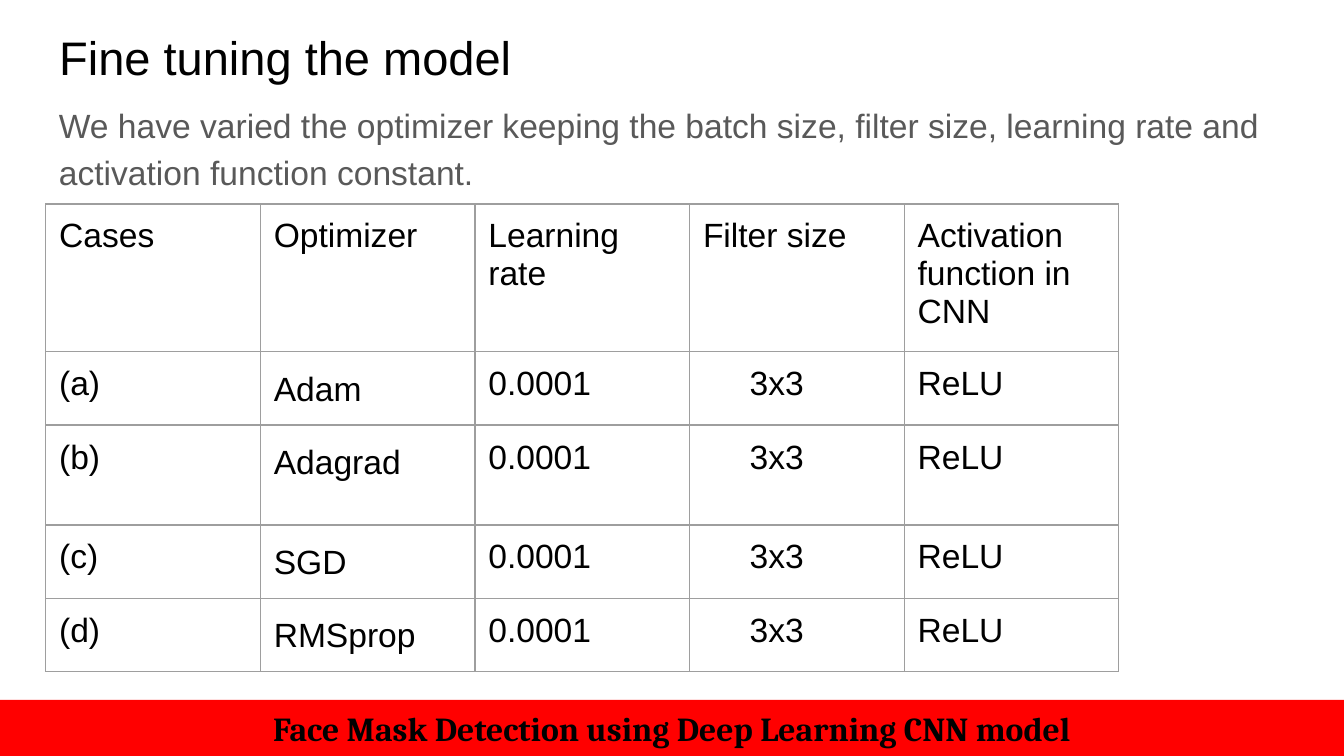
"""Build the slide on fine tuning the model, with its table of optimizer cases."""
from lxml import etree
from pptx import Presentation
from pptx.dml.color import RGBColor
from pptx.enum import shapes, text
from pptx.oxml import ns
from pptx.util import Pt

TITLE = "Fine tuning the model"
INTRO = ("We have varied the optimizer keeping the batch size, filter size, "
         "learning rate and activation function constant.")
FOOTER = "Face Mask Detection using Deep Learning CNN model"
HEADS = ["Cases", "Optimizer", "Learning rate", "Filter size", "Activation function in CNN"]
CASES = [("(a)", "Adam"), ("(b)", "Adagrad"), ("(c)", "SGD"), ("(d)", "RMSprop")]
FIXED = ["0.0001", "3x3", "ReLU"]
ROWS = [HEADS] + [[*case, *FIXED] for case in CASES]
HEIGHTS = [70, 32, 53.5, 32, 36]

BLACK = RGBColor(0x00, 0x00, 0x00)
GRAY = RGBColor(0x59, 0x59, 0x59)
LINE = RGBColor(0x9E, 0x9E, 0x9E)
RED = RGBColor(0xFF, 0x00, 0x00)
WIDE, HIGH = 720, 405
LEFT, SPAN, COL, PAD = 24.5, 671, 115, 7.2
INDENT = 25


def pad(box, side=PAD, edge=PAD):
    box.margin_left = box.margin_right = Pt(side)
    box.margin_top = box.margin_bottom = Pt(edge)


def write(frame, words, size=18, color=BLACK, name="Arial", bold=False,
          align=text.PP_ALIGN.LEFT):
    frame.text = words
    frame.word_wrap = True
    para = frame.paragraphs[0]
    para.alignment = align
    font = para.runs[0].font
    font.size, font.name, font.bold = Pt(size), name, bold
    font.color.rgb = color
    return para


def place(shape, left, top, width, height):
    shape.left, shape.top = Pt(left), Pt(top)
    shape.width, shape.height = Pt(width), Pt(height)


def border(cell):
    props = cell._tc.get_or_add_tcPr()
    for spot, side in enumerate(("lnL", "lnR", "lnT", "lnB")):
        line = etree.Element(ns.qn("a:" + side), w=str(Pt(0.75)))
        fill = etree.SubElement(line, ns.qn("a:solidFill"))
        etree.SubElement(fill, ns.qn("a:srgbClr"), val=str(LINE))
        props.insert(spot, line)


def add_title(slide):
    title = slide.shapes.title
    place(title, LEFT, 7.2, SPAN, 45.5)
    frame = title.text_frame
    pad(frame)
    frame.vertical_anchor = text.MSO_ANCHOR.BOTTOM
    write(frame, TITLE, 25.2)


def add_intro(slide):
    box = slide.shapes.add_textbox(Pt(LEFT), Pt(46), Pt(SPAN), Pt(269))
    pad(box.text_frame)
    para = write(box.text_frame, INTRO, color=GRAY)
    para.line_spacing = 1.15
    para.space_after = Pt(12)


def add_cases(slide):
    table = slide.shapes.add_table(len(ROWS), len(HEADS), Pt(LEFT), Pt(109.25),
                                   Pt(COL * len(HEADS)), Pt(sum(HEIGHTS))).table
    table.first_row = table.horz_banding = False
    for col in table.columns:
        col.width = Pt(COL)
    for r, (row, height) in enumerate(zip(ROWS, HEIGHTS)):
        table.rows[r].height = Pt(height)
        for c, words in enumerate(row):
            cell = table.cell(r, c)
            pad(cell)
            cell.fill.background()
            border(cell)
            para = write(cell.text_frame, words)
            if r and HEADS[c] == "Optimizer":
                para.line_spacing = 1.15
            if r and HEADS[c] == "Filter size":
                cell.margin_left = Pt(PAD + INDENT)


def add_footer(slide):
    bar = slide.shapes.add_shape(shapes.MSO_SHAPE.RECTANGLE, Pt(0), Pt(375), Pt(WIDE), Pt(30))
    bar.shadow.inherit = False
    bar.fill.solid()
    bar.fill.fore_color.rgb = RED
    bar.line.fill.background()
    pad(bar.text_frame, edge=3.6)
    bar.text_frame.vertical_anchor = text.MSO_ANCHOR.MIDDLE
    write(bar.text_frame, FOOTER, name="Cambria", bold=True, align=text.PP_ALIGN.CENTER)


def main():
    deck = Presentation()
    deck.slide_width, deck.slide_height = Pt(WIDE), Pt(HIGH)
    slide = deck.slides.add_slide(deck.slide_layouts[5])
    add_title(slide)
    add_intro(slide)
    add_cases(slide)
    add_footer(slide)
    deck.save("out.pptx")


if __name__ == "__main__":
    main()
